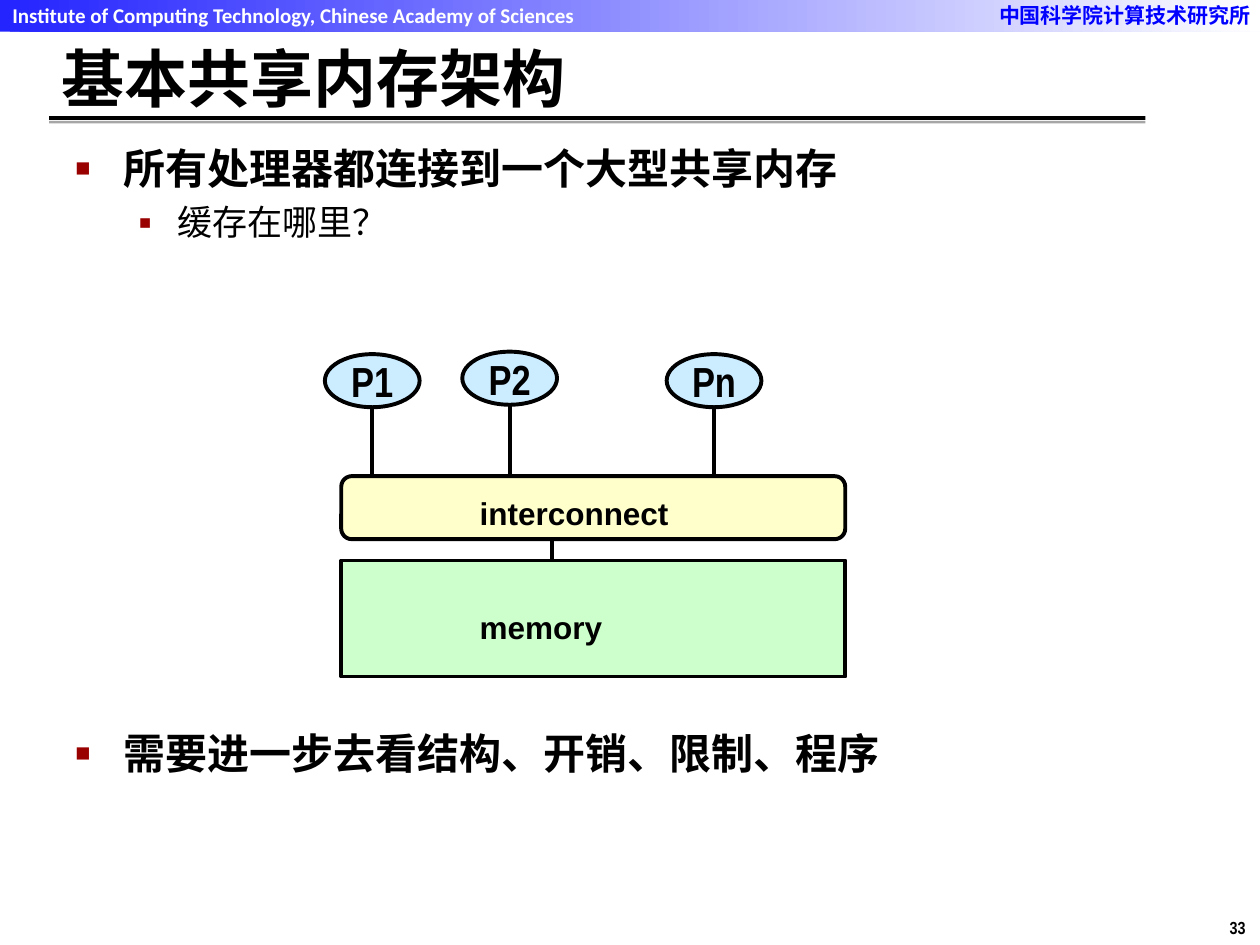
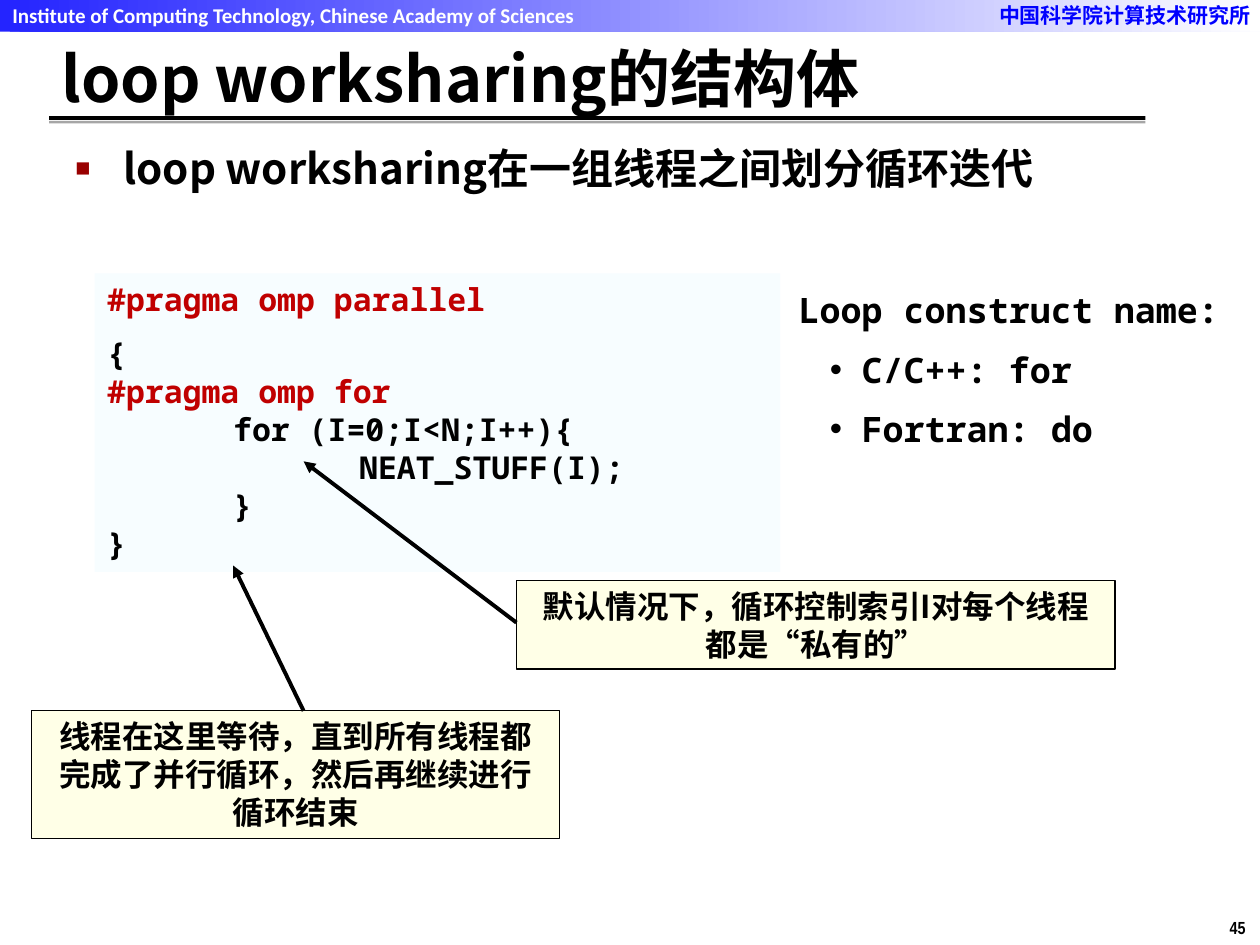
from lxml.etree import SubElement
from pptx import Presentation
from pptx.dml.color import RGBColor as Rgb
from pptx.enum.shapes import MSO_CONNECTOR as Link, MSO_SHAPE as Kind
from pptx.enum.text import MSO_ANCHOR as Anchor, PP_ALIGN as Align
from pptx.oxml.ns import qn
from pptx.util import Cm, Pt

HUES = {
    "ink": "000000", "white": "FFFFFF", "blue": "0000FF", "grey": "A6A6A6",
    "mark": "990000", "red": "C00000", "node": "CCECFF", "bus": "FFFFCC",
    "store": "CCFFCC", "code": "F7FDFF", "note": "FFFFE7",
}
HAN, MONO, SLIM = "Noto Sans CJK SC", "Noto Sans Mono", "Arial Narrow"
LEAD = 1.206

SCHOOL = "Institute of Computing Technology, Chinese Academy of Sciences"
SCHOOL_HAN = "中国科学院计算技术研究所"

TOP = dict(size=24, left=0.97, hang=0.97, mark=("■", 60, "mark"))
SUB = dict(size=20, left=2.06, hang=0.79, mark=("▪", 110, "mark"), bold=False)
DOT = dict(left=1.27, hang=0.64, mark=("•", 100, "ink"), before=10)

PAGES = [
    {"title": "基本共享内存架构", "number": "33", "body": [
        ("所有处理器都连接到一个大型共享内存", TOP),
        ("缓存在哪里？", {**SUB, "before": 4.5}),
        ("需要进一步去看结构、开销、限制、程序", {**TOP, "before": 277}),
    ]},
    {"title": "loop worksharing的结构体", "number": "45", "body": [
        ("loop worksharing在一组线程之间划分循环迭代", TOP),
    ]},
]

NODES = [("P1", 6.55, 7.14), ("P2", 9.32, 7.09), ("Pn", 13.44, 7.14)]
NODE_W, NODE_H, DROP = 1.91, 1.07, 1.4
BLOCKS = [
    (Kind.ROUNDED_RECTANGLE, (6.88, 9.6, 10.16, 1.27), "bus",
     "interconnect", (9.42, 9.83, 5.5, 1.02)),
    (Kind.RECTANGLE, (6.88, 11.3, 10.16, 2.34), "store",
     "memory", (9.42, 12.14, 5.5, 1.02)),
]

CODE = [
    (0, "red", "#pragma omp parallel"),
    (0, "ink", "{"),
    (0, "red", "#pragma omp for"),
    (1, "ink", "for (I=0;I<N;I++){"),
    (2, "ink", "NEAT_STUFF(I);"),
    (1, "ink", "}"),
    (0, "ink", "}"),
]
NAMES = [("Loop construct name:", {}), ("C/C++: for", DOT), ("Fortran: do", DOT)]
NOTES = [
    ("默认情况下，循环控制索引I对每个线程都是“私有的”",
     (10.41, 11.71, 12.07, 1.78), (10.41, 12.55, 6.12, 9.3)),
    ("线程在这里等待，直到所有线程都完成了并行循环，然后再继续进行循环结束",
     (0.64, 14.33, 10.64, 2.57), (6.12, 14.33, 4.7, 11.4)),
]


def hue(name):
    return Rgb.from_string(HUES[name])


def place(box):
    return [Cm(v) for v in box]


def draw(slide, kind, box, fill, line=0):
    shape = slide.shapes.add_shape(kind, *place(box))
    shape.shadow.inherit = False
    shape.fill.solid()
    shape.fill.fore_color.rgb = hue(fill)
    if line:
        shape.line.color.rgb = hue("ink")
        shape.line.width = Pt(line)
    else:
        shape.line.fill.background()
    return shape


def join(slide, ends, arrow=False):
    line = slide.shapes.add_connector(Link.STRAIGHT, *place(ends))
    line.line.color.rgb = hue("ink")
    line.line.width = Pt(2.25)
    if arrow:
        SubElement(line.line._get_or_add_ln(), qn("a:tailEnd"), type="triangle")
    SubElement(line._element.spPr, qn("a:effectLst"))


def frame(shape, anchor=Anchor.TOP, wrap=True):
    text = shape.text_frame
    text.word_wrap = wrap
    text.vertical_anchor = anchor
    return text


def label(slide, box, **look):
    return frame(slide.shapes.add_textbox(*place(box)), **look)


def write(text, words, size=18, font=HAN, ink="ink", bold=True, align=Align.LEFT,
          before=0, left=0, hang=0, mark=None, fixed=True):
    para = text.paragraphs[0]
    if para.runs:
        para = text.add_paragraph()
    para.alignment = align
    para.space_before = Pt(before)
    if fixed:
        para.line_spacing = Pt(round(size * LEAD, 1))
    props = para._p.get_or_add_pPr()
    props.set("marL", str(Cm(left)))
    props.set("indent", str(-Cm(hang)))
    if mark:
        sign, scale, tint = mark
        SubElement(SubElement(props, qn("a:buClr")), qn("a:srgbClr"), val=HUES[tint])
        SubElement(props, qn("a:buSzPct"), val=str(scale * 1000))
        SubElement(props, qn("a:buFont"), typeface="Arial")
        SubElement(props, qn("a:buChar"), char=sign)
    run = para.add_run()
    run.text = words
    run.font.size = Pt(size)
    run.font.bold = bold
    run.font.name = font
    run.font.color.rgb = hue(ink)
    SubElement(run.font._element, qn("a:ea"), typeface=font)


def start(deck, page):
    slide = deck.slides.add_slide(deck.slide_layouts[6])
    band = draw(slide, Kind.RECTANGLE, (0, 0, 25.4, 0.64), "blue")
    band.fill.gradient()
    band.fill.gradient_angle = 0
    for stop, name in zip(band.fill.gradient_stops, ("blue", "white")):
        stop.color.rgb = hue(name)
    for tint in band._element.spPr.iter(qn("a:srgbClr")):
        SubElement(tint, qn("a:alpha"), val="85000")
    write(label(slide, (19.89, -0.08, 5.69, 0.76)), SCHOOL_HAN, 12, ink="blue")
    write(label(slide, (0, -0.08, 12.07, 1.24)), SCHOOL, 12, "Calibri", "white",
          fixed=False)
    write(label(slide, (24.54, 18.36, 0.94, 0.64), wrap=False), page["number"], 10,
          SLIM, fixed=False)
    draw(slide, Kind.RECTANGLE, (0.99, 2.34, 22.1, 0.08), "ink")
    draw(slide, Kind.RECTANGLE, (0.99, 2.44, 22.1, 0.05), "grey")
    write(label(slide, (0.99, 0.84, 22.05, 1.42), anchor=Anchor.MIDDLE),
          page["title"], 36)
    body = label(slide, (1.27, 2.74, 21.95, 14.83))
    for words, look in page["body"]:
        write(body, words, **look)
    return slide


def memory(slide):
    for kind, box, fill, words, spot in BLOCKS:
        draw(slide, kind, box, fill, 2.25)
        write(label(slide, spot), words, font="Arial", fixed=False)
    join(slide, (11.13, 10.87, 11.13, 11.3))
    for words, x, y in NODES:
        node = draw(slide, Kind.OVAL, (x, y, NODE_W, NODE_H), "node", 2.25)
        write(frame(node, Anchor.MIDDLE, False), words, 24, SLIM,
              align=Align.CENTER, fixed=False)
        mid, base = x + NODE_W / 2, y + NODE_H
        join(slide, (mid, base, mid, base + DROP))


def loop(slide):
    code = frame(draw(slide, Kind.RECTANGLE, (1.91, 5.51, 13.82, 6.02), "code"))
    for row, (depth, ink, words) in enumerate(CODE):
        write(code, words, font=MONO, ink=ink, left=depth * 2.54,
              before=9.5 if row == 1 else 0)
    names = label(slide, (15.85, 5.69, 9.19, 3.68))
    for words, look in NAMES:
        write(names, words, 20, MONO, **look)
    for words, box, ends in NOTES:
        note = draw(slide, Kind.RECTANGLE, box, "note", 0.75)
        write(frame(note), words, align=Align.CENTER)
        join(slide, ends, True)


def main():
    deck = Presentation()
    deck.slide_width, deck.slide_height = Cm(25.4), Cm(19.05)
    for page, fill in zip(PAGES, (memory, loop)):
        fill(start(deck, page))
    deck.save("out.pptx")


if __name__ == "__main__":
    main()
